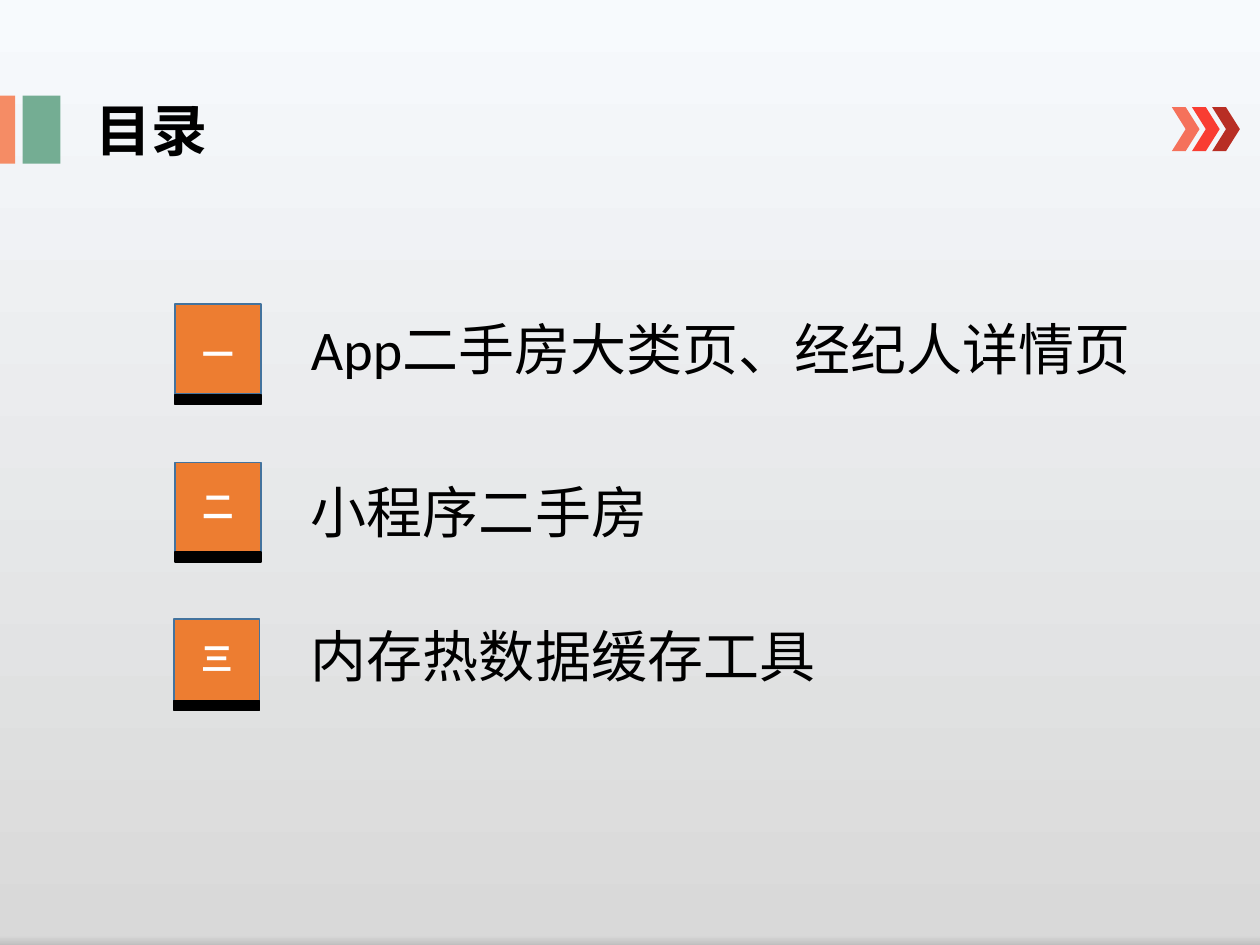
from copy import deepcopy
from pptx import Presentation
from pptx.dml import color
from pptx.enum import shapes, text
from pptx.oxml import ns
from pptx.util import Inches, Pt

CJK_FONT = "Noto Sans CJK SC"
CHAPTERS = [
    ("一", "App二手房大类页、经纪人详情页", 1.39, 2.41, 0.20, 0.72, 0.04),
    ("二", "小程序二手房", 1.39, 3.67, 0.15, 0.71, 0.07),
    ("三", "内存热数据缓存工具", 1.38, 4.91, 0.11, 0.65, -0.03),
]


def rgb(value):
    return color.RGBColor.from_string(value)


def paint_background(slide):
    fill = slide.background.fill
    fill.gradient()
    fill.gradient_angle = 270
    for stop, (position, shade) in zip(fill.gradient_stops, [(0, "F7FAFD"), (0.99, "D9D9D9")]):
        stop.position = position
        stop.color.rgb = rgb(shade)
    stop_list = next(slide.element.iter(ns.qn("a:gsLst")))
    stop_list.append(deepcopy(stop_list[-1]))
    edge = fill.gradient_stops[-1]
    edge.position = 1
    edge.color.rgb = rgb("BFBFBF")


def add_block(parent, kind, left, top, width, height, fill, line=None):
    block = parent.add_shape(kind, Inches(left), Inches(top), Inches(width), Inches(height))
    block.shadow.inherit = False
    block.fill.solid()
    block.fill.fore_color.rgb = rgb(fill)
    if line:
        block.line.color.rgb = rgb(line)
        block.line.width = Pt(1)
    else:
        block.line.fill.background()


def write(frame, words, size, font, shade, bold=False, wrap=True):
    frame.word_wrap = wrap
    frame.auto_size = text.MSO_AUTO_SIZE.NONE
    frame.vertical_anchor = text.MSO_ANCHOR.TOP
    paragraph = frame.paragraphs[0]
    paragraph.alignment = text.PP_ALIGN.LEFT
    run = paragraph.add_run()
    run.text = words
    run.font.size = Pt(size)
    run.font.name = font
    run.font.bold = bold
    run.font.color.rgb = rgb(shade)
    east_asian = run.font._element.makeelement(ns.qn("a:ea"), {"typeface": CJK_FONT})
    run.font._element.find(ns.qn("a:latin")).addnext(east_asian)


def add_label(slide, left, top, width, height, *style, **options):
    label = slide.shapes.add_textbox(Inches(left), Inches(top), Inches(width), Inches(height))
    write(label.text_frame, *style, **options)


def add_header(slide, top):
    bars = slide.shapes.add_group_shape().shapes
    for left, width, fill in [(0, 0.12, "F58C65"), (0.18, 0.3, "74AD93")]:
        add_block(bars, shapes.MSO_SHAPE.RECTANGLE, left, top, width, 0.54, fill)
    title = slide.shapes.title
    title.left, title.top = Inches(0.66), Inches(top - 0.05)
    title.width, title.height = Inches(3.44), Inches(0.64)
    write(title.text_frame, "目录", 32, "Calibri", "000000", bold=True)
    chevrons = slide.shapes.add_group_shape().shapes
    for index, fill in enumerate(["F5715B", "F93D32", "B82E24"]):
        add_block(chevrons, shapes.MSO_SHAPE.CHEVRON, 9.3 + 0.16 * index, top + 0.09, 0.22, 0.35, fill)


def add_chapter(slide, numeral, name, left, top, numeral_drop, bar_drop, name_drop):
    rectangle = shapes.MSO_SHAPE.RECTANGLE
    add_block(slide.shapes, rectangle, left, top, 0.68, 0.72, "ED7D31", "43739E")
    add_block(slide.shapes, rectangle, left, top + bar_drop, 0.68, 0.08, "000000", "000000")
    add_label(slide, left + 0.12, top + numeral_drop, 0.45, 0.4,
              numeral, 18, CJK_FONT, "FFFFFF", bold=True, wrap=False)
    add_label(slide, 2.37, top + name_drop, 7.3, 0.64, name, 32, "Calibri", "000000")


def main():
    deck = Presentation()
    deck.slide_width, deck.slide_height = Inches(10), Inches(7.5)
    slide = deck.slides.add_slide(deck.slide_layouts[5])
    paint_background(slide)
    add_header(slide, 0.76)
    for chapter in CHAPTERS:
        add_chapter(slide, *chapter)
    deck.save("out.pptx")


if __name__ == "__main__":
    main()
